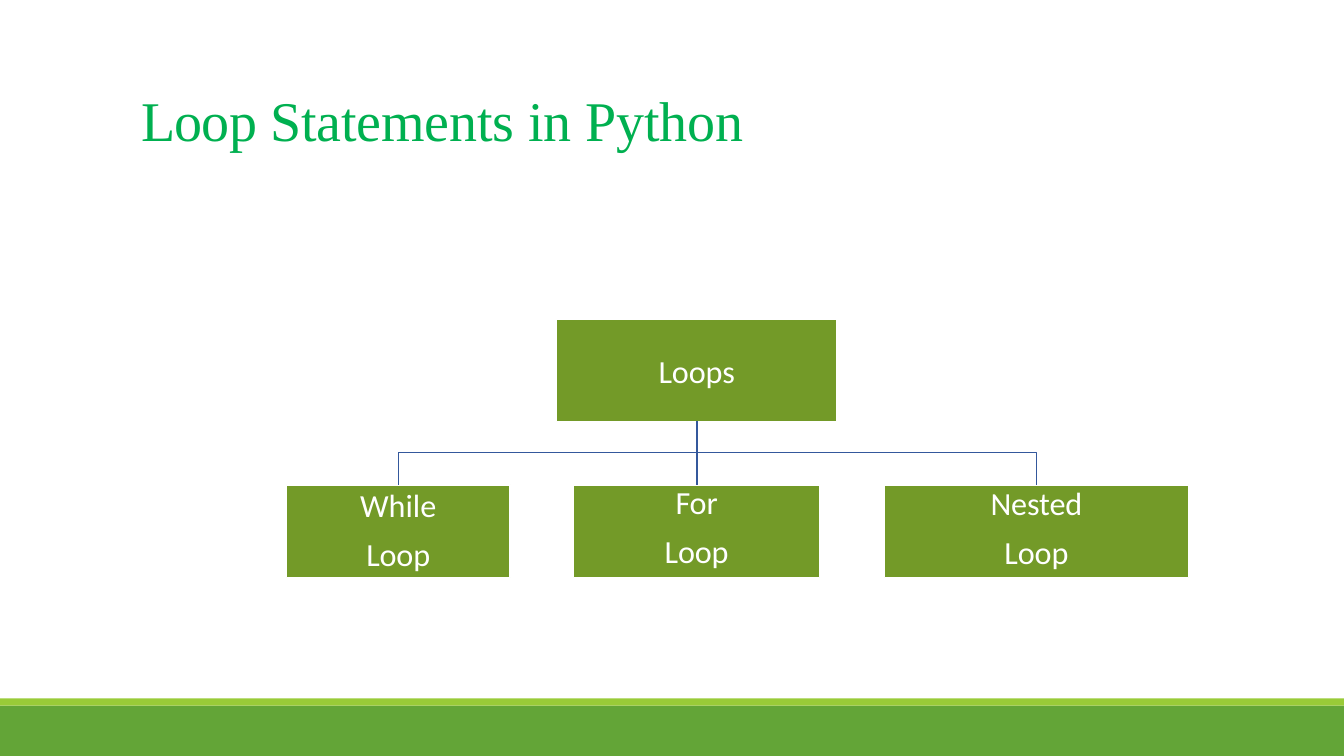
from lxml import etree
from pptx import Presentation
from pptx.dml.color import RGBColor
from pptx.enum.shapes import MSO_CONNECTOR, MSO_SHAPE
from pptx.enum.text import MSO_ANCHOR, MSO_AUTO_SIZE, PP_ALIGN
from pptx.oxml.ns import qn
from pptx.util import Inches, Pt

COLORS = {
    "title": "00B050",
    "box": "739A28",
    "white": "FFFFFF",
    "branch": "34589C",
    "band": "63A537",
    "stripe": "99CB38",
}
RGB = {part: RGBColor.from_string(value) for part, value in COLORS.items()}

WIDTH, HEIGHT = 13.33, 7.5
ROOT_LEFT, ROOT_TOP, ROOT_WIDTH, ROOT_HEIGHT = 5.52, 3.17, 2.78, 1.01
CHILD_TOP, CHILD_HEIGHT = 4.81, 0.92
BRANCH_Y = 4.49

prs = Presentation()
prs.slide_width, prs.slide_height = Inches(WIDTH), Inches(HEIGHT)
slide = prs.slides.add_slide(prs.slide_layouts[5])


def add_rect(left, top, width, height, fill):
    rect = slide.shapes.add_shape(
        MSO_SHAPE.RECTANGLE, Inches(left), Inches(top), Inches(width), Inches(height))
    rect.shadow.inherit = False
    rect.fill.solid()
    rect.fill.fore_color.rgb = RGB[fill]
    rect.line.fill.background()
    return rect


def add_run(paragraph, text, font, size, color, spacing):
    run = paragraph.add_run()
    run.text = text
    run.font.name, run.font.size = font, Pt(size)
    run.font.color.rgb = RGB[color]
    run._r.get_or_add_rPr().set("spc", str(spacing))


# Footer bands
add_rect(0, 7, WIDTH, 0.5, "band")
add_rect(0, 6.93, WIDTH, 0.07, "stripe")

# Title
title = slide.shapes.title
title.left, title.top = Inches(1.4), Inches(0.83)
title.width, title.height = Inches(7.41), Inches(0.69)
heading = title.text_frame
heading.auto_size = MSO_AUTO_SIZE.NONE
heading.vertical_anchor = MSO_ANCHOR.BOTTOM
heading.margin_left = heading.margin_right = heading.margin_top = heading.margin_bottom = 0
heading.paragraphs[0].alignment = PP_ALIGN.LEFT
for words, spacing in (("Loop ", -50), ("Statements in Python", -10)):
    add_run(heading.paragraphs[0], words, "Times New Roman", 40, "title", spacing)

# Boxes: lines, left, top, width, height, first line pitch, anchor
boxes = [
    (["Loops"], ROOT_LEFT, ROOT_TOP, ROOT_WIDTH, ROOT_HEIGHT, None, MSO_ANCHOR.MIDDLE),
    (["While", "Loop"], 2.84, CHILD_TOP, 2.22, CHILD_HEIGHT, None, MSO_ANCHOR.TOP),
    (["For", "Loop"], 5.69, CHILD_TOP, 2.44, CHILD_HEIGHT, 25.6, MSO_ANCHOR.TOP),
    (["Nested", "Loop"], 8.77, CHILD_TOP, 3.02, CHILD_HEIGHT, 26.6, MSO_ANCHOR.TOP),
]
nodes = []
for lines, left, top, width, height, pitch, anchor in boxes:
    node = add_rect(left, top, width, height, "box")
    node.line.color.rgb = RGB["white"]
    node.line.width = Pt(1)
    label = node.text_frame
    label.word_wrap = True
    label.vertical_anchor = anchor
    label.margin_left = label.margin_right = label.margin_top = label.margin_bottom = 0
    for number, line in enumerate(lines):
        paragraph = label.add_paragraph() if number else label.paragraphs[0]
        paragraph.alignment = PP_ALIGN.CENTER
        if number:
            paragraph.space_before = Pt(7.5)
        elif pitch:
            paragraph.line_spacing = Pt(pitch)
        add_run(paragraph, line, "Calibri", 23, "white", 0 if line == "While" else -10)
    nodes.append(node)
loops, while_loop, for_loop, nested_loop = nodes

# Straight branch to the middle box
stem = slide.shapes.add_connector(MSO_CONNECTOR.STRAIGHT, 0, 0, 0, 0)
stem.begin_connect(loops, 2)
stem.end_connect(for_loop, 0)
stem.line.color.rgb = RGB["branch"]
stem.line.width = Pt(1.18)
etree.SubElement(stem._element.spPr, qn("a:effectLst"))

# Bent branches to the outer boxes
root_x, root_bottom = loops.left + loops.width // 2, loops.top + loops.height
for child in (while_loop, nested_loop):
    child_x = child.left + child.width // 2
    outline = slide.shapes.build_freeform(root_x, root_bottom)
    outline.add_line_segments(
        [(root_x, Inches(BRANCH_Y)), (child_x, Inches(BRANCH_Y)), (child_x, child.top)],
        close=False)
    branch = outline.convert_to_shape()
    branch.shadow.inherit = False
    branch.fill.background()
    branch.line.color.rgb = RGB["branch"]
    branch.line.width = Pt(1)

prs.save("out.pptx")
